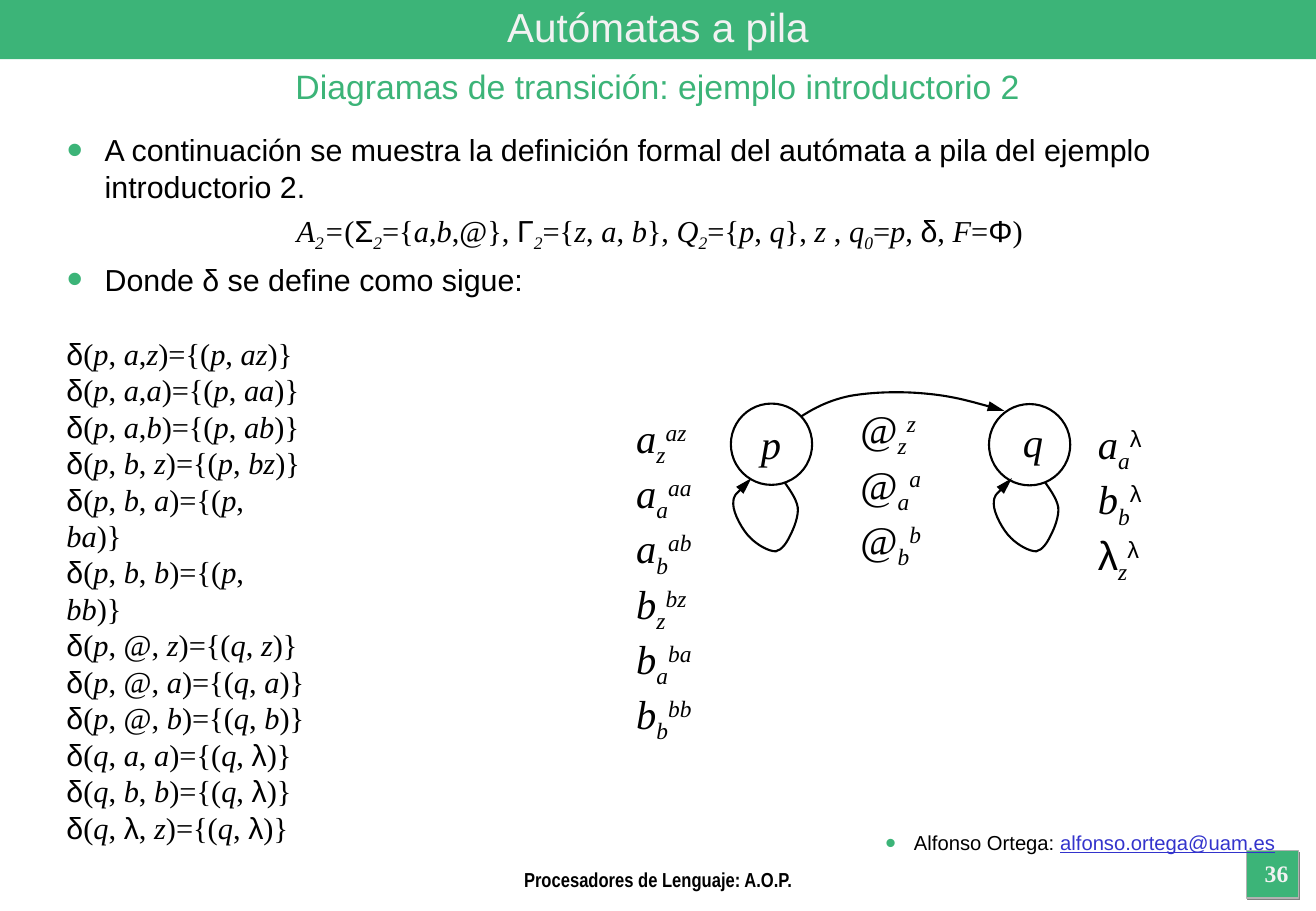
from dataclasses import dataclass, replace
from itertools import groupby

from lxml import etree
from pptx import Presentation
from pptx import util as u
from pptx.dml.color import RGBColor
from pptx.enum import shapes, text
from pptx.oxml import ns


@dataclass(frozen=True)
class Theme:
    green: str = "3CB478"
    pale: str = "F2F2F2"
    black: str = "000000"
    grey: str = "B2B2B2"
    shadow: str = "808080"
    link: str = "3333CC"
    sans: str = "Arial"
    narrow: str = "Arial Narrow"
    serif: str = "Times New Roman"
    title: int = 24
    subtitle: int = 20
    body: int = 18
    state: int = 24
    number: int = 14
    footer: int = 12


THEME = Theme()


@dataclass(frozen=True)
class Box:
    left: float
    top: float
    width: float
    height: float

    def lengths(self) -> list[int]:
        return [u.Cm(value) for value in (self.left, self.top, self.width, self.height)]


@dataclass(frozen=True)
class Run:
    text: str
    size: int
    font: str = THEME.sans
    colour: str = THEME.black
    bold: bool = False
    italic: bool = False
    underline: bool = False
    baseline: int = 0


@dataclass(frozen=True)
class Line:
    runs: list[Run]
    align: text.PP_ALIGN = text.PP_ALIGN.LEFT
    space_before: float = 0
    indent: float = 0
    bullet: bool = False


@dataclass(frozen=True)
class State:
    name: str
    circle: Box
    label: Box
    loop_left: float


def formula(source: str, size: int) -> list[Run]:
    """Italic letters, sans Greek; _ lowers and ~ slants the next sign, ^ raises the rest."""
    signs: list[Run] = []
    raised = lowered = slanted = False
    for sign in source:
        if sign == "_":
            lowered = True
        elif sign == "~":
            slanted = True
        elif sign == "^":
            raised = True
        else:
            greek = sign in "ΣΓδΦλ"
            signs.append(Run(sign, size, THEME.sans if greek else THEME.serif,
                             italic=not greek and (sign.isalpha() or lowered or slanted),
                             baseline=30 if raised else -25 if lowered else 0))
            lowered = slanted = False
    return [replace(style, text="".join(sign.text for sign in group))
            for style, group in groupby(signs, key=lambda sign: replace(sign, text=""))]


def formulas(sources: list[str], size: int) -> list[Line]:
    return [Line(formula(source, size)) for source in sources]


def add_element(parent, tag: str, **attributes: str):
    return etree.SubElement(parent, ns.qn(tag), attributes)


def add_bullet(paragraph) -> None:
    properties = paragraph._p.get_or_add_pPr()
    add_element(add_element(properties, "a:buClr"), "a:srgbClr", val=THEME.green)
    add_element(properties, "a:buSzPct", val="150000")
    add_element(properties, "a:buFont", typeface=THEME.sans)
    add_element(properties, "a:buChar", char="•")


def add_text(slide, box: Box, lines: list[Line], anchor=text.MSO_ANCHOR.TOP) -> None:
    frame = slide.shapes.add_textbox(*box.lengths()).text_frame
    frame.word_wrap = True
    frame.vertical_anchor = anchor
    for index, line in enumerate(lines):
        paragraph = frame.add_paragraph() if index else frame.paragraphs[0]
        paragraph.alignment = line.align
        if line.indent:
            properties = paragraph._p.get_or_add_pPr()
            properties.set("marL", str(u.Cm(line.indent)))
            properties.set("indent", str(-u.Cm(line.indent)))
        if line.space_before:
            paragraph.space_before = u.Pt(line.space_before)
        if line.bullet:
            add_bullet(paragraph)
        for item in line.runs:
            run = paragraph.add_run()
            run.text = item.text
            font = run.font
            font.name, font.size = item.font, u.Pt(item.size)
            font.bold, font.italic = item.bold, item.italic
            font.underline = item.underline
            font.color.rgb = RGBColor.from_string(item.colour)
            if item.baseline:
                font._element.set("baseline", str(item.baseline * 1000))


def add_shape(slide, kind, box: Box, fill: str = "", line: str = "", weight: float = 0):
    shape = slide.shapes.add_shape(kind, *box.lengths())
    shape.shadow.inherit = False
    if fill:
        shape.fill.solid()
        shape.fill.fore_color.rgb = RGBColor.from_string(fill)
    else:
        shape.fill.background()
    if line:
        shape.line.color.rgb = RGBColor.from_string(line)
        shape.line.width = u.Pt(weight)
    else:
        shape.line.fill.background()
    return shape


def add_curve(slide, points: list[tuple], dx: float = 0, dy: float = 0) -> None:
    """Arrow along joined cubic curves: a start, then three points per curve."""
    start, *places = [(u.Cm(x + dx), u.Cm(y + dy)) for x, y in points]
    builder = slide.shapes.build_freeform(*start)
    builder.add_line_segments(places, close=False)
    curve = builder.convert_to_shape()
    segments = list(curve._element.iter(ns.qn("a:lnTo")))
    for first in range(0, len(segments), 3):
        outline = segments[first].getparent()
        cubic = add_element(outline, "a:cubicBezTo")
        for segment in segments[first:first + 3]:
            cubic.append(segment[0])
            outline.remove(segment)
    curve.shadow.inherit = False
    curve.fill.background()
    curve.line.color.rgb = RGBColor.from_string(THEME.black)
    curve.line.width = u.Pt(1.25)
    add_element(curve.line._get_or_add_ln(), "a:tailEnd", type="triangle", w="med", len="lg")


STATES = [State("p", Box(15.29, 8.44, 1.7, 1.7), Box(15.28, 8.64, 1.7, 1.27), 15.29),
          State("q", Box(20.69, 8.45, 1.7, 1.7), Box(20.76, 8.59, 1.7, 1.27), 20.74)]
LOOP_TOP = 8.43
LOOP = [(1.12, 1.65), (1.17, 1.73), (1.37, 1.98), (1.4, 2.18), (1.42, 2.36), (1.32, 2.62),
        (1.24, 2.77), (1.17, 2.92), (1.07, 3.07), (0.94, 3.1), (0.79, 3.1), (0.56, 2.97),
        (0.41, 2.82), (0.25, 2.67), (0.05, 2.31), (0.05, 2.11), (0.05, 1.91), (0.33, 1.68),
        (0.43, 1.57)]
P_TO_Q = [(16.76, 8.71), (17.04, 8.53), (17.35, 8.37), (17.78, 8.28), (18.24, 8.2),
          (18.82, 8.18), (19.35, 8.23), (19.91, 8.28), (20.45, 8.43), (21.01, 8.59)]
TRANSITIONS = [
    "δ(p, a,z)={(p, az)}", "δ(p, a,a)={(p, aa)}", "δ(p, a,b)={(p, ab)}",
    "δ(p, b, z)={(p, bz)}", "δ(p, b, a)={(p, ba)}", "δ(p, b, b)={(p, bb)}",
    "δ(p, @, z)={(q, z)}", "δ(p, @, a)={(q, a)}", "δ(p, @, b)={(q, b)}",
    "δ(q, a, a)={(q, λ)}", "δ(q, b, b)={(q, λ)}", "δ(q, λ, z)={(q, λ)}"]
ARROW_LABELS = [
    (Box(17.75, 8.33, 1.9, 3.73), ["@_z^z", "@_a^a", "@_b^b"]),
    (Box(13.06, 8.51, 1.8, 7.19), ["a_z^az", "a_a^aa", "a_b^ab", "b_z^bz", "b_a^ba", "b_b^bb"]),
    (Box(22.72, 8.64, 1.6, 3.73), ["a_a^λ", "b_b^λ", "λ_z^λ"])]


def add_frame(slide) -> None:
    """Title band, headings, contact, footer and slide number."""
    centre = text.PP_ALIGN.CENTER
    rectangle = shapes.MSO_SHAPE.RECTANGLE
    square = add_shape(slide, rectangle, Box(26.07, 17.79, 1.09, 0.99), THEME.green, THEME.grey, 0.75)
    effects = square._element.spPr.find(ns.qn("a:effectLst"))
    shadow = add_element(effects, "a:outerShdw", dist=str(u.Pt(1.4)), dir="2700000")
    add_element(shadow, "a:srgbClr", val=THEME.shadow)
    add_shape(slide, rectangle, Box(0, 0, 27.53, 1.24), THEME.green)
    contact = [Run("Alfonso Ortega: ", THEME.footer),
               Run("alfonso.ortega@uam.es", THEME.footer, colour=THEME.link, underline=True)]
    add_text(slide, Box(7.68, 17.24, 19.25, 1.12),
             [Line(contact, text.PP_ALIGN.RIGHT, indent=0.6, bullet=True)])
    add_text(slide, Box(0, 0, 27.53, 1.12),
             [Line([Run("Autómatas a pila", THEME.title, colour=THEME.pale)], centre)],
             text.MSO_ANCHOR.MIDDLE)
    subtitle = Run("Diagramas de transición: ejemplo introductorio 2", THEME.subtitle, colour=THEME.green)
    add_text(slide, Box(0, 1.25, 27.53, 1.12), [Line([subtitle], centre)])
    course = Run("Procesadores de Lenguaje: A.O.P.", THEME.footer, THEME.narrow, bold=True)
    add_text(slide, Box(7.66, 18.02, 12.22, 0.46), [Line([course], centre)])
    number = Run("36", THEME.number, THEME.serif, THEME.pale, bold=True)
    add_text(slide, Box(26.02, 17.84, 1.37, 0.89), [Line([number], centre)])


def add_definition(slide) -> None:
    intro = ("A continuación se muestra la definición formal del autómata a pila "
             "del ejemplo introductorio 2.")
    automaton = "A_2~=(Σ_2={a,b,@}, Γ_2={z, a, b}, Q_2={p, q}, z~ , q_0=p, δ, F=Φ)"
    add_text(slide, Box(1.15, 2.62, 25.3, 4.75), [
        Line([Run(intro, THEME.body)], indent=0.79, bullet=True),
        Line(formula(automaton, THEME.body), text.PP_ALIGN.CENTER, 4.5, 0.79),
        Line([Run("Donde δ se define como sigue:", THEME.body)], space_before=4.5, indent=0.79, bullet=True)])
    add_text(slide, Box(1.14, 6.88, 5.49, 9.4), formulas(TRANSITIONS, THEME.body))


def add_diagram(slide) -> None:
    for state in STATES:
        add_shape(slide, shapes.MSO_SHAPE.OVAL, state.circle, line=THEME.black, weight=1.25)
        add_text(slide, state.label, [Line(formula(state.name, THEME.state), text.PP_ALIGN.CENTER)])
        add_curve(slide, LOOP, state.loop_left, LOOP_TOP)
    add_curve(slide, P_TO_Q)
    for box, labels in ARROW_LABELS:
        add_text(slide, box, formulas(labels, THEME.state))


def main() -> None:
    presentation = Presentation()
    presentation.slide_width, presentation.slide_height = u.Cm(27.53), u.Cm(19.05)
    slide = presentation.slides.add_slide(presentation.slide_layouts[6])
    add_frame(slide)
    add_definition(slide)
    add_diagram(slide)
    presentation.save("out.pptx")


if __name__ == "__main__":
    main()
